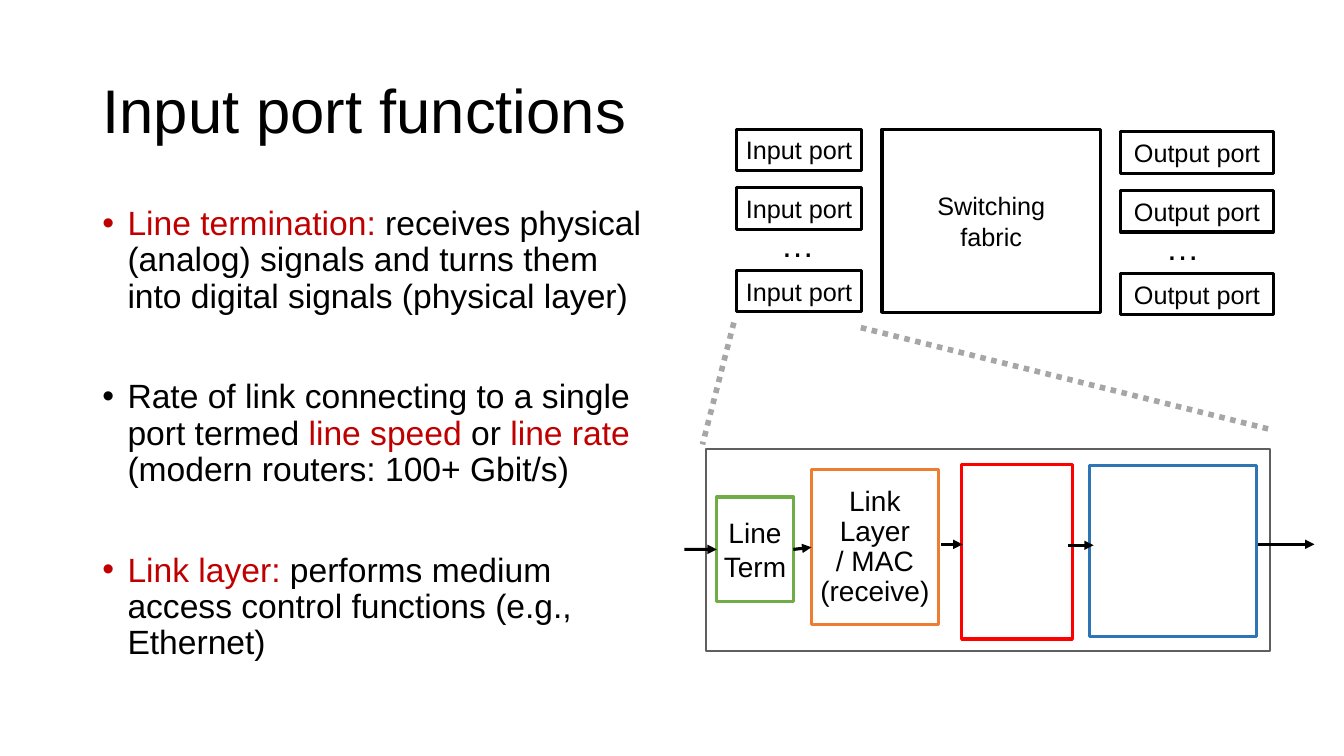
from lxml import etree
from pptx import Presentation
from pptx.dml.color import RGBColor
from pptx.enum.dml import MSO_LINE
from pptx.enum.shapes import MSO_CONNECTOR, MSO_SHAPE
from pptx.enum.text import MSO_ANCHOR, PP_ALIGN
from pptx.oxml.ns import qn
from pptx.util import Pt

BLACK = RGBColor(0x00, 0x00, 0x00)
DARK_RED = RGBColor(0xC0, 0x00, 0x00)
RED = RGBColor(0xFF, 0x00, 0x00)
ORANGE = RGBColor(0xED, 0x7D, 0x31)
GREEN = RGBColor(0x70, 0xAD, 0x47)
BLUE = RGBColor(0x2E, 0x75, 0xB6)
DARK_GREY = RGBColor(0x5F, 0x5F, 0x5F)
LIGHT_GREY = RGBColor(0xA6, 0xA6, 0xA6)
FONT = "Arial"

deck = Presentation()
deck.slide_width, deck.slide_height = Pt(960), Pt(540)
page = deck.slides.add_slide(deck.slide_layouts[5])


def add_box(left, top, width, height, color, text="", size=18, spacing=1.0, weight=2.25):
    box = page.shapes.add_shape(MSO_SHAPE.RECTANGLE, Pt(left), Pt(top), Pt(width), Pt(height))
    box.shadow.inherit = False
    box.fill.background()
    box.line.color.rgb = color
    box.line.width = Pt(weight)
    if text:
        frame = box.text_frame
        frame.text = text
        frame.word_wrap = False
        frame.vertical_anchor = MSO_ANCHOR.MIDDLE
        for para in frame.paragraphs:
            para.alignment = PP_ALIGN.CENTER
            para.line_spacing = spacing
            para.font.name, para.font.size = FONT, Pt(size)
            para.font.color.rgb = BLACK
    return box


def add_line(start, end, color, weight, arrow=False):
    line = page.shapes.add_connector(
        MSO_CONNECTOR.STRAIGHT, Pt(start[0]), Pt(start[1]), Pt(end[0]), Pt(end[1]))
    line.line.color.rgb = color
    line.line.width = Pt(weight)
    if arrow:
        etree.SubElement(line.line._get_or_add_ln(), qn("a:tailEnd"), type="triangle")
    etree.SubElement(line._element.spPr, qn("a:effectLst"))
    return line


# Title
title = page.shapes.title
title.left, title.top, title.width, title.height = Pt(66), Pt(28.8), Pt(828), Pt(104.4)
title.text_frame.text = "Input port functions"
title.text_frame.vertical_anchor = MSO_ANCHOR.MIDDLE
heading = title.text_frame.paragraphs[0]
heading.alignment = PP_ALIGN.LEFT
heading.line_spacing = 0.9
heading.font.name, heading.font.size = FONT, Pt(44)
heading.font.color.rgb = BLACK

# Bullet list: each item is a list of (text, colour) pieces
items = [
    [("Line termination:", DARK_RED),
     (" receives physical (analog) signals and turns them into digital signals "
      "(physical layer)", BLACK)],
    [("Rate of link connecting to a single port termed ", BLACK),
     ("line speed", DARK_RED), (" or ", BLACK), ("line rate ", DARK_RED),
     ("(modern routers: 100+ Gbit/s)", BLACK)],
    [("Link layer:", DARK_RED),
     (" performs medium access control functions (e.g., Ethernet)", BLACK)],
]
body = page.shapes.add_textbox(Pt(66), Pt(144), Pt(408), Pt(374.4)).text_frame
body.word_wrap = True
for index, pieces in enumerate(items):
    para = body.add_paragraph() if index else body.paragraphs[0]
    props = para._p.get_or_add_pPr()
    props.set("marL", str(Pt(18)))
    props.set("indent", str(Pt(-18)))
    etree.SubElement(props, qn("a:buFont"), typeface=FONT)
    etree.SubElement(props, qn("a:buChar"), char="•")
    para.line_spacing = 0.9
    para.space_before = Pt(46 if index else 0)
    para.font.size = Pt(24)
    for text, color in pieces:
        span = para.add_run()
        span.text = text
        span.font.name, span.font.size = FONT, Pt(24)
        span.font.color.rgb = color

# Router overview: ports either side of the switching fabric
fabric = add_box(630, 92.2, 156.2, 131, BLACK, "Switching fabric")
fabric.text_frame.word_wrap = True
fabric.text_frame.margin_left = fabric.text_frame.margin_right = Pt(37)

for label, left, top, width, dots_left in [
    ("Input port", 526, 92.2, 89.5, 550.8),
    ("Output port", 800.5, 94.2, 109, 825.8),
]:
    for offset in (0, 42, 101):
        add_box(left, top + offset, width, 29.5, BLACK, label)
    dots = page.shapes.add_textbox(Pt(dots_left), Pt(top + 64), Pt(41), Pt(36)).text_frame
    dots.word_wrap = True
    dots.text = "…"
    dots_font = dots.paragraphs[0].runs[0].font
    dots_font.name, dots_font.size = FONT, Pt(24)
    dots_font.color.rgb = BLACK

# Dotted zoom lines from one input port to its detail
for start, end in [((524.2, 230.4), (501.8, 317.5)), ((614.9, 234), (907.2, 306.7))]:
    add_line(start, end, LIGHT_GREY, 4).line.dash_style = MSO_LINE.ROUND_DOT

# Input port detail
add_box(504, 320.4, 403.2, 144.7, DARK_GREY, weight=1.5)
line_term = add_box(512, 355, 54.7, 74.9, GREEN, "Line\nTerm", size=20)
link_layer = add_box(579.6, 335.5, 90.7, 110.9, ORANGE,
                     "Link\nLayer\n/ MAC\n(receive)", size=20, spacing=0.9)
add_box(686.9, 331.9, 79.2, 124.6, RED)
add_box(778.3, 332.6, 119.5, 122.4, BLUE)

# Arrows through the stages
arrows = [
    add_line((start, y), (end, y), BLACK, 2.25, arrow=True)
    for start, end, y in [
        (488.9, 515.5, 392.4), (564.5, 579.6, 392.4), (672.5, 687.6, 388.8),
        (763.2, 781.2, 389.5), (898.6, 938.9, 388.8),
    ]
]
arrows[0].end_connect(line_term, 1)
arrows[1].begin_connect(line_term, 3)
arrows[1].end_connect(link_layer, 1)

deck.save("out.pptx")
